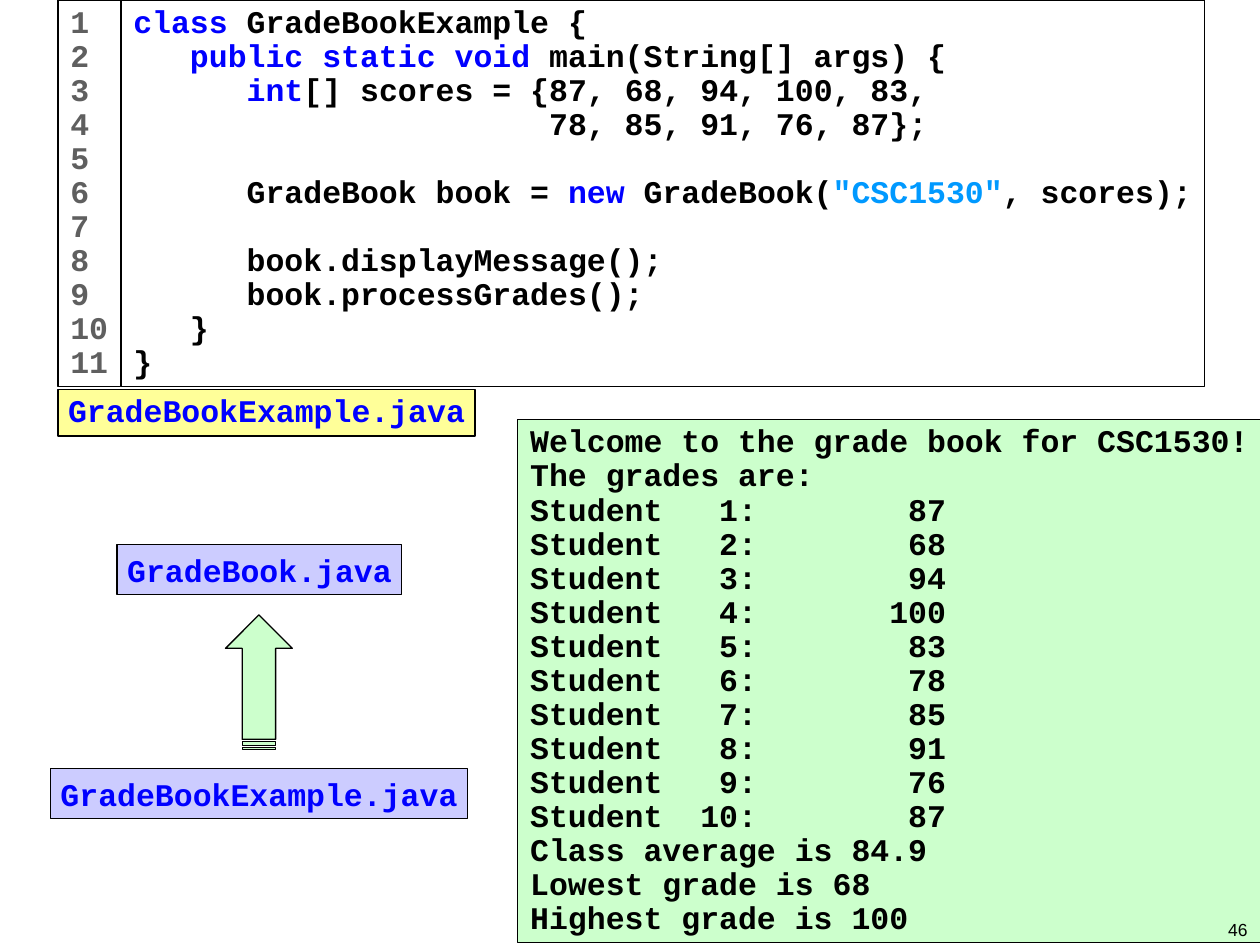
from dataclasses import dataclass

from pptx import Presentation
from pptx.dml.color import RGBColor
from pptx.enum.shapes import MSO_SHAPE
from pptx.enum.text import MSO_ANCHOR, PP_ALIGN
from pptx.util import Inches, Pt

RECT = MSO_SHAPE.RECTANGLE
ARROW = MSO_SHAPE.STRIPED_RIGHT_ARROW
TOP, LOW = MSO_ANCHOR.TOP, MSO_ANCHOR.BOTTOM
LEFT, RIGHT = PP_ALIGN.LEFT, PP_ALIGN.RIGHT

WIDE, HIGH = Inches(10), Inches(7.5)
HUES = {
    "black": "000000", "white": "FFFFFF", "gray": "5F5F5F", "blue": "0000FF",
    "sky": "0099FF", "yellow": "FFFF99", "green": "CCFFCC", "lilac": "CCCCFF",
}

Line = list[tuple[str, str]]


@dataclass
class Area:
    """Left, top, width and height in percent of the slide."""
    x: float
    y: float
    w: float
    h: float

    def box(self) -> tuple[int, int, int, int]:
        return (int(WIDE * self.x / 100), int(HIGH * self.y / 100),
                int(WIDE * self.w / 100), int(HIGH * self.h / 100))


@dataclass
class Panel:
    area: Area
    fill: str
    lines: list[Line]
    pad: float = 0.1
    lead: float = 0.9


def hue(name: str) -> RGBColor:
    return RGBColor.from_string(HUES[name])


def plain(texts: list[str], tint: str = "black") -> list[Line]:
    """Lines of one colour each."""
    return [[(text, tint)] for text in texts]


def draw(slide, kind, area: Area, fill: str):
    shape = slide.shapes.add_shape(kind, *area.box())
    shape.shadow.inherit = False
    shape.fill.solid()
    shape.fill.fore_color.rgb = hue(fill)
    shape.line.color.rgb = hue("black")
    shape.line.width = Pt(0.75)
    return shape


def write(para, line: Line) -> None:
    para.alignment = LEFT
    para.font.name = "Courier New"
    para.font.size = Pt(18)
    para.font.bold = True
    for text, tint in line:
        run = para.add_run()
        run.text = text
        run.font.color.rgb = hue(tint)


def show(slide, panel: Panel) -> None:
    frame = draw(slide, RECT, panel.area, panel.fill).text_frame
    frame.word_wrap = False
    frame.vertical_anchor = TOP
    frame.margin_left = frame.margin_right = Inches(panel.pad)
    for i, line in enumerate(panel.lines):
        para = frame.add_paragraph() if i else frame.paragraphs[0]
        para.line_spacing = panel.lead
        write(para, line)


def number(slide, area: Area, text: str) -> None:
    frame = slide.shapes.add_textbox(*area.box()).text_frame
    frame.word_wrap = True
    frame.vertical_anchor = LOW
    para = frame.paragraphs[0]
    para.text = text
    para.alignment = RIGHT
    para.font.name = "Arial"
    para.font.size = Pt(10)
    para.font.color.rgb = hue("black")


CODE: list[Line] = [
    [("class", "blue"), (" GradeBookExample {", "black")],
    [("   public static void", "blue"), (" main(String[] args) {", "black")],
    [("      int", "blue"), ("[] scores = {87, 68, 94, 100, 83,", "black")],
    *plain(["                      78, 85, 91, 76, 87};"]),
    [],
    [("      GradeBook book = ", "black"), ("new", "blue"),
     (" GradeBook(", "black"), ('"CSC1530"', "sky"), (", scores);", "black")],
    [],
    *plain(["      book.displayMessage();", "      book.processGrades();",
            "   }", "}"]),
]
GRADES = [87, 68, 94, 100, 83, 78, 85, 91, 76, 87]
OUTPUT = [
    "Welcome to the grade book for CSC1530!",
    "The grades are:",
    *(f"Student{n:4}:{grade:10}" for n, grade in enumerate(GRADES, 1)),
    f"Class average is {sum(GRADES) / len(GRADES):.1f}",
    f"Lowest grade is {min(GRADES)}",
    f"Highest grade is {max(GRADES)}",
]
COUNT = [str(n + 1) for n in range(len(CODE))]
MAIN = plain(["GradeBookExample.java"], "blue")
BOOK = plain(["GradeBook.java"], "blue")

PANELS = [
    Panel(Area(9.6, 0, 86, 40.93), "white", CODE),
    Panel(Area(4.6, 0, 5, 40.93), "white", plain(COUNT, "gray")),
    Panel(Area(4.6, 41.2, 33.1, 4.93), "yellow", MAIN, pad=0.08),
    Panel(Area(41.1, 44.4, 59, 55.33), "green", plain(OUTPUT)),
    Panel(Area(4, 81.33, 33.1, 5.33), "lilac", MAIN, pad=0.08, lead=1.0),
    Panel(Area(9.3, 57.6, 22.6, 5.33), "lilac", BOOK, pad=0.08, lead=1.0),
]


def main() -> None:
    deck = Presentation()
    deck.slide_width, deck.slide_height = WIDE, HIGH
    slide = deck.slides.add_slide(deck.slide_layouts[6])
    for panel in PANELS:
        show(slide, panel)
    draw(slide, ARROW, Area(15.2, 68.67, 10.7, 7.07), "green").rotation = 270
    number(slide, Area(76.7, 93.47, 23.3, 6.67), "46")
    deck.save("out.pptx")


if __name__ == "__main__":
    main()
